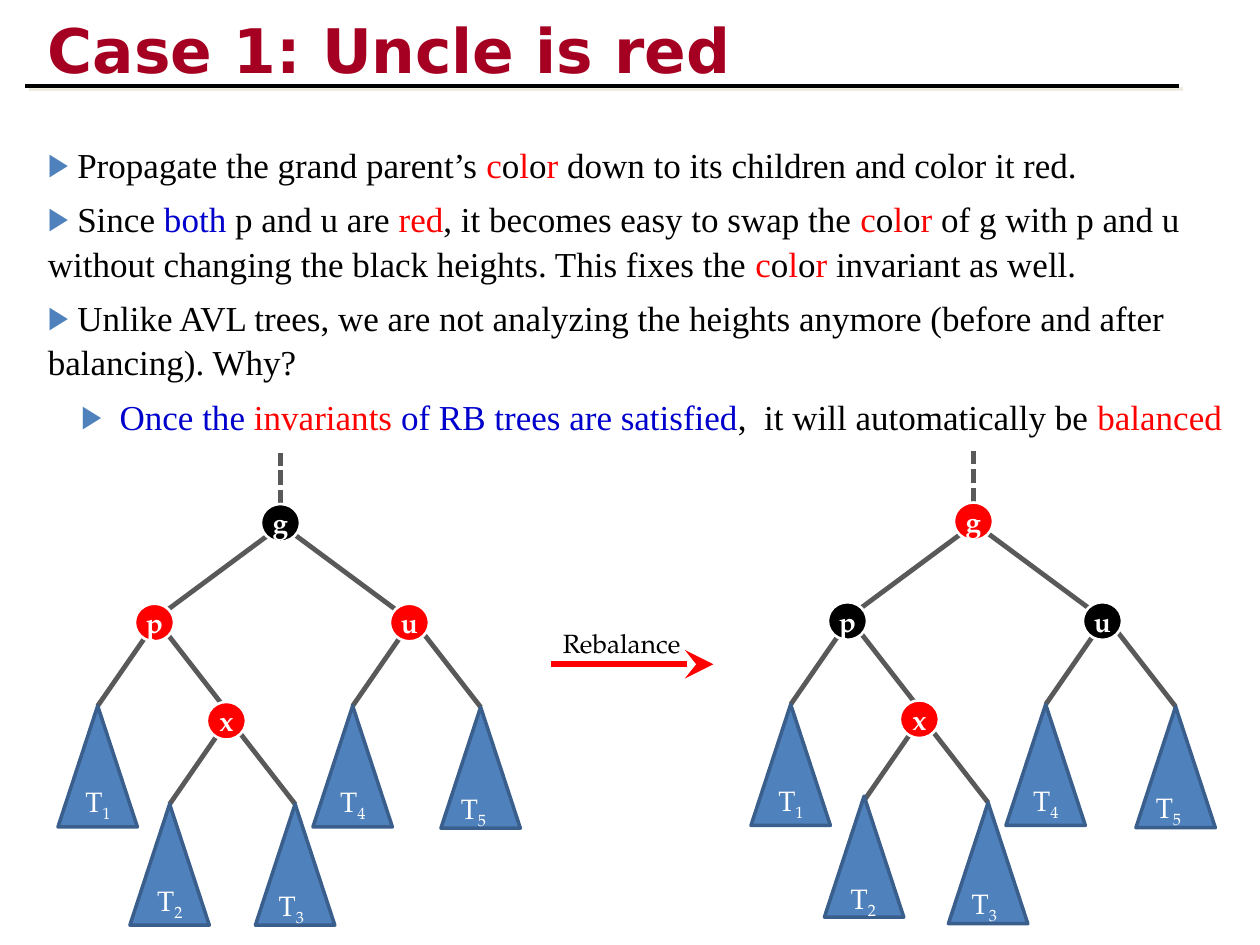
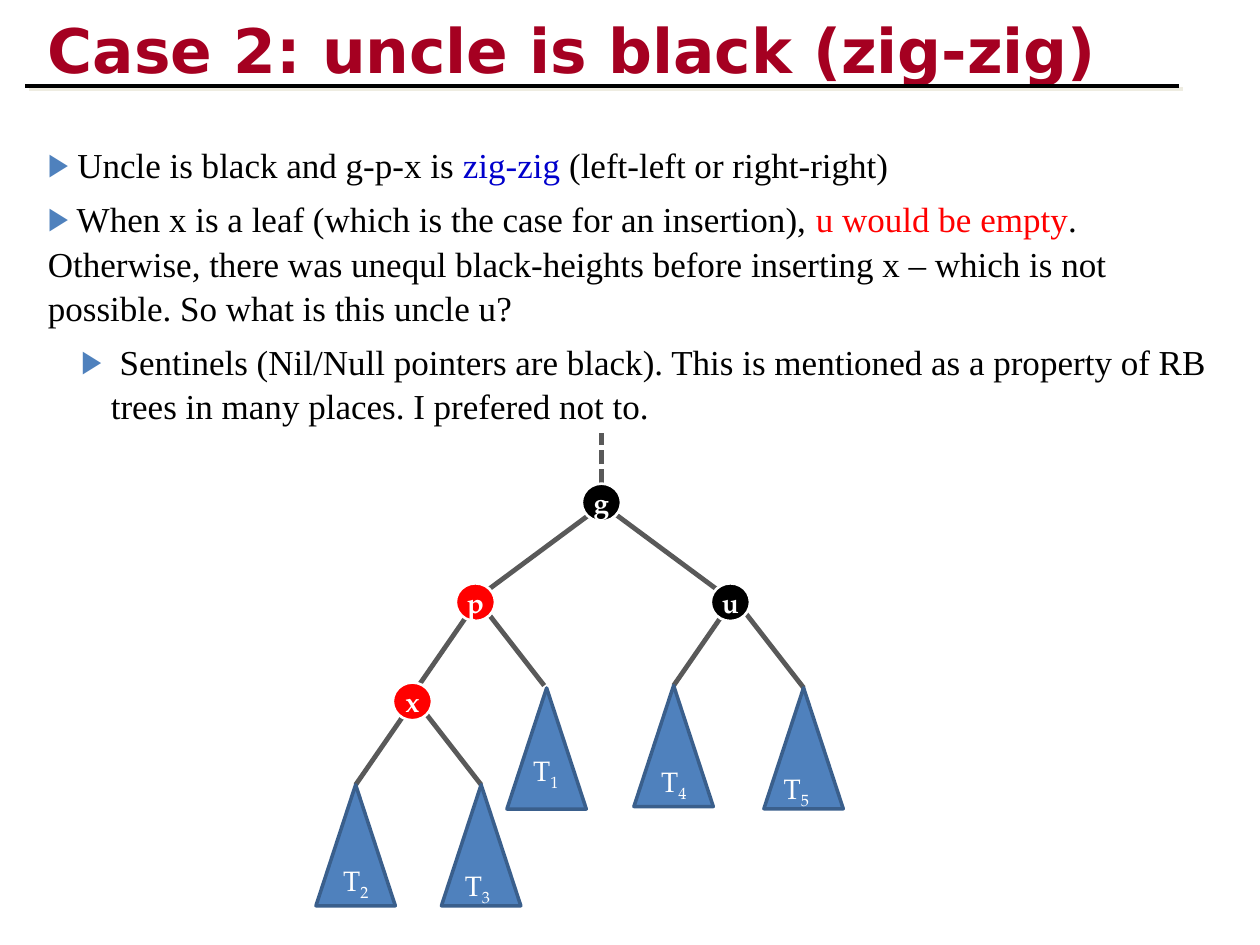
from dataclasses import dataclass

from lxml import etree
from pptx import Presentation
from pptx.dml.color import RGBColor
from pptx.enum.dml import MSO_LINE
from pptx.enum.shapes import MSO_CONNECTOR, MSO_SHAPE
from pptx.enum.text import MSO_ANCHOR, MSO_AUTO_SIZE, PP_ALIGN
from pptx.oxml.ns import qn
from pptx.util import Cm, Pt

STRAIGHT = MSO_CONNECTOR.STRAIGHT
OVAL, TRIANGLE = MSO_SHAPE.OVAL, MSO_SHAPE.ISOSCELES_TRIANGLE
DASHED = MSO_LINE.SQUARE_DOT
MIDDLE, NO_FIT = MSO_ANCHOR.MIDDLE, MSO_AUTO_SIZE.NONE
LEFT, CENTER = PP_ALIGN.LEFT, PP_ALIGN.CENTER

# Shared colours and fonts
BLACK, WHITE, RED, BLUE = "000000", "FFFFFF", "FF0000", "0000CC"
TITLE_RED, SHADOW = "A50021", "EEECE1"
TREE_FILL, TREE_EDGE, LINK = "4F81BD", "3A5F8C", "595959"
TITLE_FONT, BODY_FONT, TREE_FONT = "DejaVu Sans", "Times New Roman", "TeX Gyre Pagella"

# Tree geometry in centimetres, measured from a node's top left corner
NODE_SIZE = (0.79, 0.76)
SUBTREE_SIZE = (1.6, 2.44)
LABEL_SIZE = (1.07, 0.94)
ROOT_LINKS = {"up": (0.39, 0, 0.39, -1.03),
              "left": (0.13, 0.64, -1.88, 2.13),
              "right": (0.56, 0.53, 2.72, 2.13)}
CHILD_LINKS = {"left": (0.48, 0.28, -0.75, 2.06),
               "right": (0.28, 0.13, 1.78, 2.06)}


@dataclass
class Node:
    key: str
    offset: tuple[float, float]  # from the root g
    color: str
    nudge: float = 0  # moves the right link outwards


@dataclass
class Subtree:
    number: int
    parent: str
    side: str
    label: tuple[float, float] = (0.3, 1.47)  # from the triangle's corner
    shift: tuple[float, float] = (0, 0)


@dataclass
class Tree:
    origin: tuple[float, float]
    nodes: list[Node]
    subtrees: list[Subtree]


@dataclass
class Bullet:
    runs: list[tuple[str, str]]
    level: int = 0


# Contents
COLOR_WORD = [("c", RED), ("o", BLACK), ("l", RED), ("o", BLACK), ("r ", RED)]

RED_UNCLE_BULLETS = [
    Bullet([(" Propagate the grand parent’s ", BLACK), *COLOR_WORD,
            ("down to its children and color it red.", BLACK)]),
    Bullet([(" Since ", BLACK), ("both", BLUE), (" p and u are ", BLACK), ("red", RED),
            (", it becomes easy to swap the ", BLACK), *COLOR_WORD,
            ("of g with p and u without changing the black heights. "
             "This fixes the ", BLACK), *COLOR_WORD, ("invariant as well.", BLACK)]),
    Bullet([(" Unlike AVL trees, we are not analyzing the heights anymore "
             "(before and after balancing). Why?", BLACK)]),
    Bullet([(" ", BLACK), ("Once the ", BLUE), ("invariants", RED),
            (" of RB trees are satisfied", BLUE),
            (",  it will automatically be ", BLACK), ("balanced", RED)], level=1),
]
BLACK_UNCLE_BULLETS = [
    Bullet([(" Uncle is black and g-p-x is ", BLACK), ("zig-zig ", BLUE),
            ("(left-left or right-right)", BLACK)]),
    Bullet([(" When x is a leaf (which is the case for an insertion), ", BLACK),
            ("u would be empty", RED),
            (". Otherwise, there was unequl black-heights before inserting x – "
             "which is not possible. So what is this uncle u?", BLACK)]),
    Bullet([(" Sentinels (Nil/Null pointers are black). This is mentioned as a "
             "property of RB trees in many places. I prefered not to.", BLACK)], level=1),
]


def family(g: str, p: str, u: str, x_offset: tuple[float, float],
           nudge: float = 0.09) -> list[Node]:
    return [Node("g", (0, 0), g), Node("p", (-2.54, 2.01), p),
            Node("u", (2.6, 2.01), u, nudge), Node("x", x_offset, RED)]


INNER_X, OUTER_X = (-1.09, 3.99), (-3.81, 4.01)
T1 = Subtree(1, "p", "left")
T2 = Subtree(2, "x", "left")
T3 = Subtree(3, "x", "right", label=(0.22, 1.57))
T4 = Subtree(4, "u", "left")
T5 = Subtree(5, "u", "right", label=(0.15, 1.57))

BEFORE = Tree((5.26, 10.16), family(BLACK, RED, RED, INNER_X, 0.05), [T1, T5, T4, T3, T2])
AFTER = Tree((19.23, 10.13), family(RED, BLACK, BLACK, INNER_X),
             [T1, T5, T4, T3, Subtree(2, "x", "left", (0.28, 1.6), (0.03, -0.13))])
ZIG_ZIG = Tree((11.73, 9.75), family(BLACK, RED, BLACK, OUTER_X),
               [Subtree(1, "p", "right", (0.28, 1.19), (0.05, 0.05)), T5, T4, T3, T2])


# Drawing helpers
def rgb(color: str) -> RGBColor:
    return RGBColor.from_string(color)


def add_run(paragraph, text: str, *, size: float, font: str, color: str,
            bold: bool = False, subscript: bool = False):
    run = paragraph.add_run()
    run.text = text
    run.font.size = Pt(size)
    run.font.name = font
    run.font.bold = bold
    run.font.color.rgb = rgb(color)
    if subscript:
        run.font._element.set("baseline", "-25000")
    return run


def place(shape, left: float, top: float, width: float, height: float) -> None:
    shape.left, shape.top = Cm(left), Cm(top)
    shape.width, shape.height = Cm(width), Cm(height)


def shadow_effect():
    effects = etree.Element(qn("a:effectLst"))
    shadow = etree.SubElement(effects, qn("a:outerShdw"), blurRad="0", dist="35560",
                              dir="2700000", algn="ctr", rotWithShape="0")
    etree.SubElement(shadow, qn("a:srgbClr"), val=SHADOW)
    return effects


def add_line(slide, start: tuple[float, float], end: tuple[float, float],
             color: str = LINK, width: float = 2.75, dash=None,
             arrow: bool = False, shadow: bool = False):
    line = slide.shapes.add_connector(STRAIGHT, *map(Cm, (*start, *end)))
    line.line.color.rgb = rgb(color)
    line.line.width = Pt(width)
    if dash is not None:
        line.line.dash_style = dash
    if arrow:
        etree.SubElement(line.line._get_or_add_ln(), qn("a:tailEnd"),
                         type="stealth", w="lg", len="lg")
    line._element.spPr.append(shadow_effect() if shadow
                              else etree.Element(qn("a:effectLst")))
    return line


def add_filled(slide, preset, box: tuple[float, float, float, float],
               fill: str, edge: str, width: float):
    shape = slide.shapes.add_shape(preset, *map(Cm, box))
    shape.shadow.inherit = False
    shape.fill.solid()
    shape.fill.fore_color.rgb = rgb(fill)
    shape.line.color.rgb = rgb(edge)
    shape.line.width = Pt(width)
    return shape


def add_caption(slide, box: tuple[float, float, float, float]):
    frame = slide.shapes.add_textbox(*map(Cm, box)).text_frame
    frame.word_wrap = True
    return frame.paragraphs[0]


# Slide parts
def add_heading(slide, text: str) -> None:
    title = slide.shapes.title
    place(title, 0.71, 0.13, 23.01, 1.7)
    frame = title.text_frame
    frame.auto_size = NO_FIT
    frame.vertical_anchor = MIDDLE
    paragraph = frame.paragraphs[0]
    paragraph.alignment = LEFT
    run = add_run(paragraph, text, size=35.1, font=TITLE_FONT, color=TITLE_RED, bold=True)
    run.font._element.find(qn("a:solidFill")).addnext(shadow_effect())
    add_line(slide, (0.51, 1.73), (23.77, 1.73), BLACK, 2.25, shadow=True)


def add_bullets(slide, bullets: list[Bullet]) -> None:
    body = slide.placeholders[1]
    place(body, 0.71, 2.72, 24.18, 6.02)
    frame = body.text_frame
    frame.auto_size = NO_FIT
    frame.word_wrap = True
    for index, bullet in enumerate(bullets):
        paragraph = frame.add_paragraph() if index else frame.paragraphs[0]
        paragraph.level = bullet.level
        margin, indent = (1.27, -0.6) if bullet.level else (0, 0)
        properties = paragraph._p.get_or_add_pPr()
        properties.set("marL", str(Cm(margin)))
        properties.set("indent", str(Cm(indent)))
        tint = etree.SubElement(properties, qn("a:buClr"))
        etree.SubElement(tint, qn("a:srgbClr"), val=TREE_FILL)
        etree.SubElement(properties, qn("a:buSzPct"), val="90000")
        etree.SubElement(properties, qn("a:buChar"), char="▶")
        paragraph.alignment = LEFT
        paragraph.line_spacing = 1.05
        paragraph.space_before = Pt(6 if index else 0)
        for text, color in bullet.runs:
            add_run(paragraph, text, size=20, font=BODY_FONT, color=color)


def draw_node(slide, node: Node, left: float, top: float) -> None:
    circle = add_filled(slide, OVAL, (left, top, *NODE_SIZE), node.color, WHITE, 1.5)
    frame = circle.text_frame
    frame.word_wrap = False
    frame.vertical_anchor = MIDDLE
    frame.paragraphs[0].alignment = CENTER
    add_run(frame.paragraphs[0], node.key, size=16, font=TREE_FONT, color=WHITE, bold=True)


def draw_subtree(slide, subtree: Subtree, apex: tuple[float, float]) -> None:
    left = apex[0] + subtree.shift[0] - SUBTREE_SIZE[0] / 2
    top = apex[1] + subtree.shift[1]
    add_filled(slide, TRIANGLE, (left, top, *SUBTREE_SIZE), TREE_FILL, TREE_EDGE, 2)
    label = add_caption(slide, (left + subtree.label[0], top + subtree.label[1], *LABEL_SIZE))
    add_run(label, "T", size=16, font=TREE_FONT, color=WHITE)
    add_run(label, str(subtree.number), size=16, font=TREE_FONT, color=WHITE, subscript=True)


def draw_tree(slide, tree: Tree) -> None:
    corners = {node.key: (tree.origin[0] + node.offset[0], tree.origin[1] + node.offset[1])
               for node in tree.nodes}
    link_ends = {}
    for node in tree.nodes:
        left, top = corners[node.key]
        links = ROOT_LINKS if node.key == "g" else CHILD_LINKS
        for side, (x1, y1, x2, y2) in links.items():
            nudge = node.nudge if side == "right" else 0
            start = (left + x1 + nudge, top + y1 + nudge / 2)
            end = (left + x2 + nudge, top + y2 + nudge / 2)
            add_line(slide, start, end, dash=DASHED if side == "up" else None)
            link_ends[node.key, side] = end
    for node in tree.nodes:
        draw_node(slide, node, *corners[node.key])
    for subtree in tree.subtrees:
        draw_subtree(slide, subtree, link_ends[subtree.parent, subtree.side])


def add_case(deck, heading: str, bullets: list[Bullet], trees: list[Tree]):
    slide = deck.slides.add_slide(deck.slide_layouts[1])
    add_heading(slide, heading)
    add_bullets(slide, bullets)
    for tree in trees:
        draw_tree(slide, tree)
    return slide


def main() -> None:
    deck = Presentation()
    deck.slide_width, deck.slide_height = Cm(25.4), Cm(19.05)

    # Red uncle: recolouring step between two trees
    red_uncle = add_case(deck, "Case 1: Uncle is red", RED_UNCLE_BULLETS, [BEFORE, AFTER])
    add_line(red_uncle, (11.1, 13.39), (14.38, 13.39), RED, 3.25, arrow=True)
    step = add_caption(red_uncle, (11.1, 12.52, 3.28, 0.89))
    add_run(step, "Rebalance", size=15, font=TREE_FONT, color=BLACK)

    # Black uncle
    add_case(deck, "Case 2: uncle is black (zig-zig)", BLACK_UNCLE_BULLETS, [ZIG_ZIG])
    deck.save("out.pptx")


if __name__ == "__main__":
    main()
